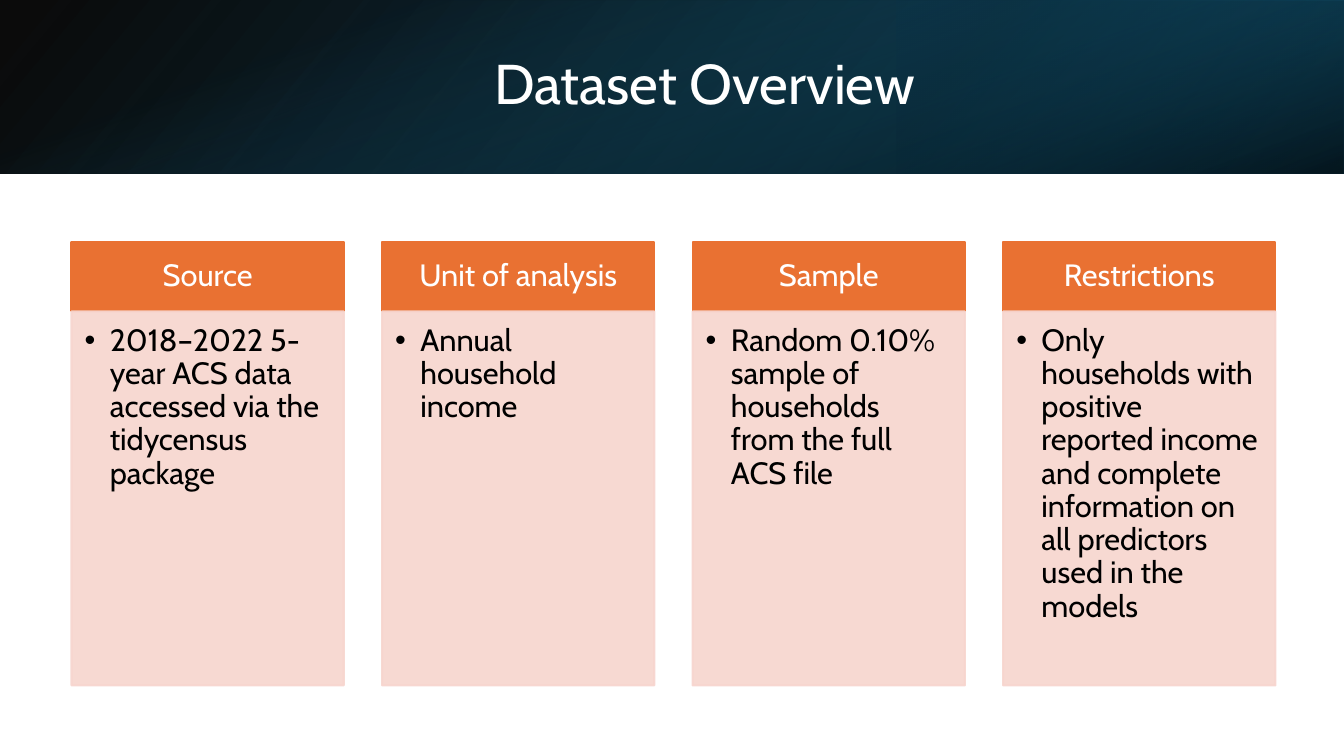
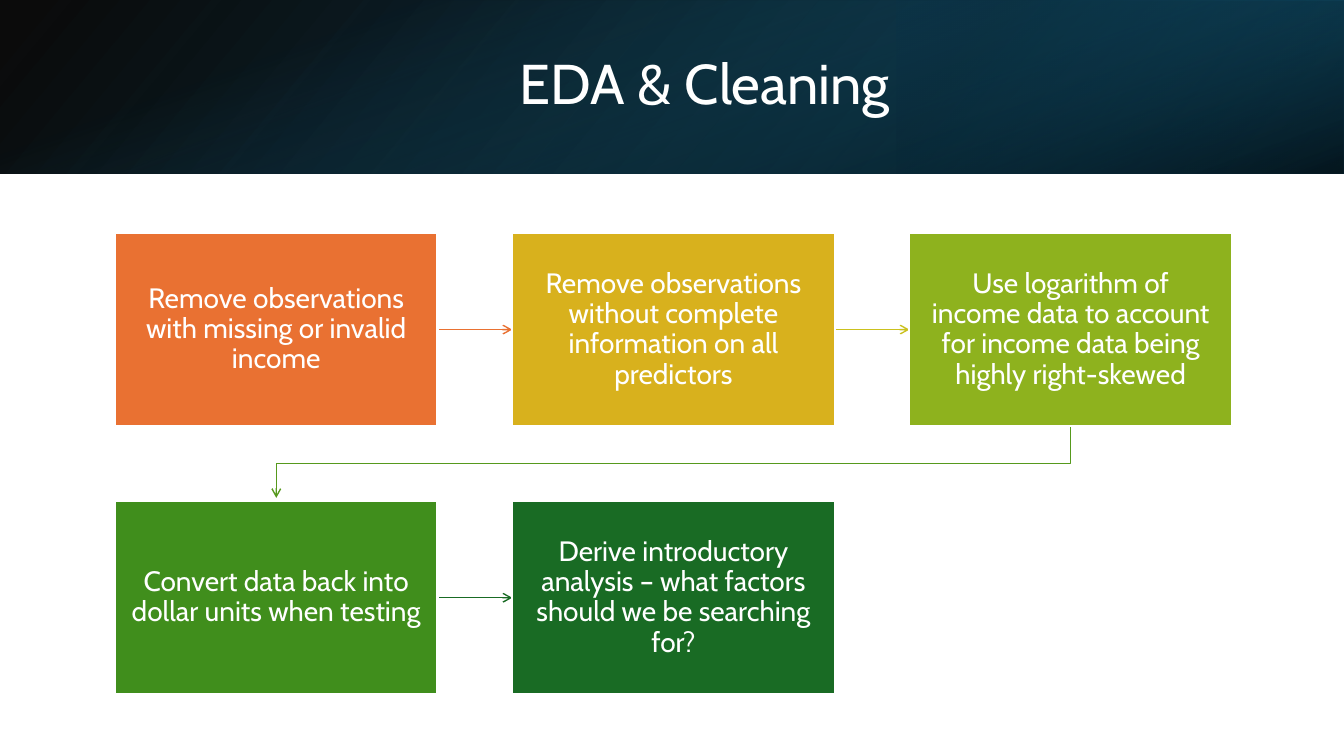
"""Build two slides on a dataset and how it was cleaned."""
from typing import NamedTuple

from lxml.etree import SubElement
from pptx import Presentation
from pptx.dml.color import RGBColor as Rgb
from pptx.enum.shapes import MSO_CONNECTOR as Link, MSO_SHAPE as Kind
from pptx.enum.text import MSO_ANCHOR as Anchor, MSO_AUTO_SIZE as Fit, PP_ALIGN as Align
from pptx.oxml.ns import qn
from pptx.shapes.autoshape import Shape
from pptx.slide import Slide
from pptx.util import Inches, Pt

FONT = "Cabin"
HUES = {
    "white": "FFFFFF", "black": "000000", "deep": "104862", "navy": "0B3041",
    "blue": "156082", "orange": "E97132", "blush": "F7D5CE", "gold": "D8B11D",
    "lime": "8EB21E", "green": "408E1C", "pine": "196B24", "citron": "CBC11E",
    "leaf": "56991D",
}


class Box(NamedTuple):
    left: float
    top: float
    width: float
    height: float


class Stop(NamedTuple):
    place: float
    hue: str
    alpha: int


class Band(NamedTuple):
    box: Box
    turn: int
    flip: bool
    angle: int
    stops: tuple[Stop, Stop]


class Card(NamedTuple):
    head: str
    body: str


class Step(NamedTuple):
    text: str
    hue: str
    arrow: str = ""


BANDS = (
    Band(Box(0, 0, 13.33, 1.72), 0, True, 140,
         (Stop(0, "black", 96), Stop(1, "deep", 100))),
    Band(Box(8.89, 0, 4.44, 1.72), 180, True, 320,
         (Stop(0.19, "navy", 68), Stop(1, "blue", 79))),
    Band(Box(5.8, -5.8, 1.72, 13.33), 90, False, 340,
         (Stop(0.23, "blue", 0), Stop(0.99, "black", 74))),
)
CARDS = (
    Card("Source", "2018–2022 5-year ACS data accessed via the tidycensus package"),
    Card("Unit of analysis", "Annual household income"),
    Card("Sample", "Random 0.10% sample of households from the full ACS file"),
    Card("Restrictions", "Only households with positive reported income and complete "
         "information on all predictors used in the models"),
)
STEPS = (
    Step("Remove observations with missing or invalid income", "orange", "orange"),
    Step("Remove observations without complete information on all predictors",
         "gold", "citron"),
    Step("Use logarithm of income data to account for income data being highly "
         "right-skewed", "lime", "leaf"),
    Step("Convert data back into dollar units when testing", "green", "pine"),
    Step("Derive introductory analysis – what factors should we be searching for?",
         "pine"),
)
COLS = 3


def tint(name: str) -> Rgb:
    return Rgb.from_string(HUES[name])


def fade(shape: Shape, alphas: list[int]) -> None:
    marks = shape.element.spPr.iter(qn("a:srgbClr"))
    for mark, alpha in zip(list(marks), alphas):
        SubElement(mark, qn("a:alpha")).set("val", str(alpha * 1000))


def add_box(slide: Slide, box: Box) -> Shape:
    shape = slide.shapes.add_shape(Kind.RECTANGLE, *map(Inches, box))
    shape.shadow.inherit = False
    return shape


def paint(shape: Shape, fill: str, line: str) -> None:
    shape.fill.solid()
    shape.fill.fore_color.rgb = tint(fill)
    shape.line.color.rgb = tint(line)
    shape.line.width = Pt(1.5)


def write(shape: Shape, text: str, size: int, hue: str,
          align: Align = Align.CENTER, anchor: Anchor = Anchor.MIDDLE,
          pads: tuple[float, ...] = (0.1, 0.05, 0.1, 0.05)) -> None:
    frame = shape.text_frame
    frame.text = text
    frame.word_wrap = True
    frame.auto_size = Fit.NONE
    frame.vertical_anchor = anchor
    (frame.margin_left, frame.margin_top,
     frame.margin_right, frame.margin_bottom) = map(Inches, pads)
    para = frame.paragraphs[0]
    para.alignment = align
    para.line_spacing = 0.9
    font = para.runs[0].font
    font.name, font.size = FONT, Pt(size)
    font.color.rgb = tint(hue)


def add_dot(shape: Shape) -> None:
    props = shape.text_frame.paragraphs[0]._p.get_or_add_pPr()
    props.set("marL", str(Inches(0.25)))
    props.set("indent", str(-Inches(0.25)))
    SubElement(props, qn("a:buFont")).set("typeface", "Arial")
    SubElement(props, qn("a:buChar")).set("char", "•")


def add_band(slide: Slide, band: Band) -> None:
    shape = add_box(slide, band.box)
    shape.rotation = band.turn
    if band.flip:
        shape.element.spPr.get_or_add_xfrm().set("flipH", "1")
    shape.line.fill.background()
    shape.fill.gradient()
    shape.fill.gradient_angle = 360 - band.angle
    for part, stop in zip(shape.fill.gradient_stops, band.stops):
        part.position = stop.place
        part.color.rgb = tint(stop.hue)
    fade(shape, [stop.alpha for stop in band.stops])


def add_page(deck: Presentation, text: str) -> Slide:
    slide = deck.slides.add_slide(deck.slide_layouts[5])
    for band in BANDS:
        add_band(slide, band)
    title = slide.shapes.title
    title.left, title.top, title.width, title.height = map(
        Inches, Box(1.5, 0.38, 10.98, 0.96))
    write(title, text, 40, "white")
    title.element.getparent().append(title.element)
    return slide


def add_card(slide: Slide, card: Card, left: float) -> None:
    head = add_box(slide, Box(left, 2.4, 2.7, 0.69))
    paint(head, "orange", "orange")
    write(head, card.head, 22, "white", pads=(0.17, 0.1, 0.17, 0.1))
    body = add_box(slide, Box(left, 3.09, 2.7, 3.71))
    paint(body, "blush", "blush")
    fade(body, [90, 90])
    write(body, card.body, 22, "black", Align.LEFT, Anchor.TOP,
          (0.13, 0.13, 0.17, 0.19))
    add_dot(body)


def spot(rank: int) -> Box:
    row, col = divmod(rank, COLS)
    return Box(1.14 + 3.94 * col, 2.31 + 2.66 * row, 3.2, 1.92)


def add_arrow(slide: Slide, start: Box, end: Box, hue: str) -> None:
    if start.top == end.top:
        mid = start.top + start.height / 2
        right = start.left + start.width
        arrow = slide.shapes.add_connector(
            Link.STRAIGHT, *map(Inches, (right, mid, end.left, mid)))
        SubElement(arrow.element.spPr, qn("a:effectLst"))
    else:
        base = start.top + start.height
        bend = (base + end.top) / 2
        here, there = (box.left + box.width / 2 for box in (start, end))
        path = slide.shapes.build_freeform(Inches(here), Inches(base))
        turns = ((here, bend), (there, bend), (there, end.top - 0.03))
        path.add_line_segments([(Inches(x), Inches(y)) for x, y in turns], close=False)
        arrow = path.convert_to_shape()
        arrow.fill.background()
        arrow.shadow.inherit = False
    arrow.line.color.rgb = tint(hue)
    arrow.line.width = Pt(1)
    SubElement(arrow.line._get_or_add_ln(), qn("a:tailEnd")).set("type", "arrow")


def add_step(slide: Slide, step: Step, box: Box) -> None:
    shape = add_box(slide, box)
    paint(shape, step.hue, "white")
    write(shape, step.text, 20, "white", pads=(0.16,) * 4)


def main() -> None:
    deck = Presentation()
    deck.slide_width, deck.slide_height = Inches(13.33), Inches(7.5)

    facts = add_page(deck, "Dataset Overview")
    for rank, card in enumerate(CARDS):
        add_card(facts, card, 0.71 + 3.08 * rank)

    flow = add_page(deck, "EDA & Cleaning")
    for rank, step in enumerate(STEPS):
        if step.arrow:
            add_arrow(flow, spot(rank), spot(rank + 1), step.arrow)
        add_step(flow, step, spot(rank))

    deck.save("out.pptx")


if __name__ == "__main__":
    main()
